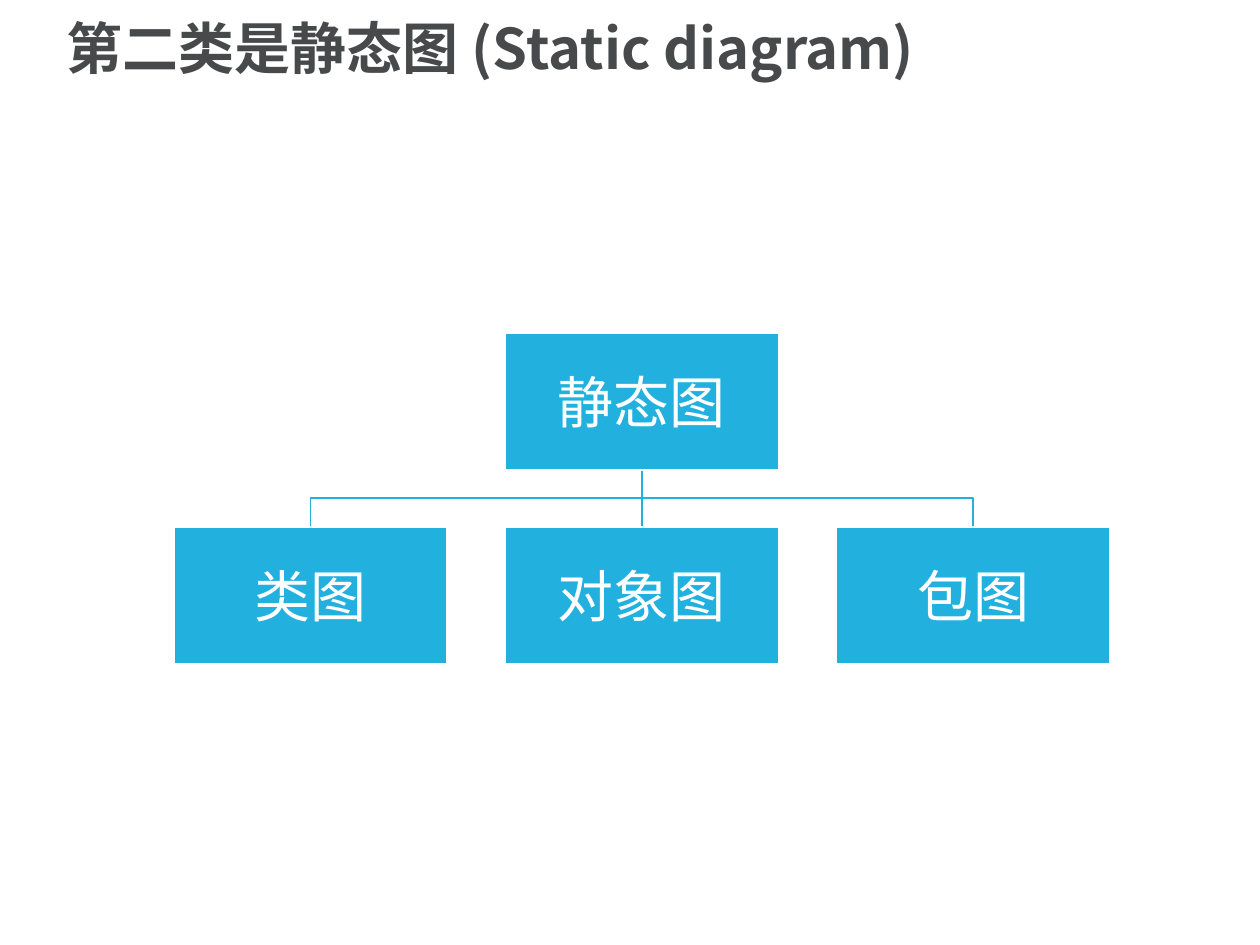
import pptx
import pptx.util
import pptx.dml.color
import pptx.enum.shapes
import pptx.enum.text
import pptx.oxml
import pptx.oxml.ns
from dataclasses import dataclass

Inches = pptx.util.Inches
Pt = pptx.util.Pt


@dataclass(frozen=True)
class Theme:
    font: str = "Noto Sans CJK SC"
    dark: str = "47494B"
    blue: str = "22B1DE"
    white: str = "FFFFFF"
    size: int = 32
    line: int = 1


class Chart:
    """Style, slide and the grid of boxes, in inches."""
    left, top = 1.38, 2.64
    wide, high = 2.17, 1.09
    col_step, row_step = 2.63, 1.54

    def __init__(self, slide, theme):
        self.slide, self.theme = slide, theme
        self.shapes = slide.shapes

    def tint(self, code):
        return pptx.dml.color.RGBColor.from_string(code)

    def spot(self, col, row):
        return (Inches(self.left + col * self.col_step),
                Inches(self.top + row * self.row_step))

    def tag(self, name, extra=""):
        return pptx.oxml.parse_xml(
            f'<a:{name} {pptx.oxml.ns.nsdecls("a")} {extra}/>')

    def label(self, frame, text, color, bold=False):
        frame.word_wrap = True
        frame.vertical_anchor = pptx.enum.text.MSO_ANCHOR.MIDDLE
        para = frame.paragraphs[0]
        run = para.add_run()
        run.text = text
        font = run.font
        font.size, font.bold = Pt(self.theme.size), bold
        font.name = self.theme.font
        font.color.rgb = self.tint(color)
        # East Asian glyphs need their own typeface entry
        run._r.get_or_add_rPr().append(
            self.tag("ea", f'typeface="{self.theme.font}"'))
        return para

    def title(self, text):
        box = self.shapes.add_textbox(
            Inches(0.43), Inches(0.06), Inches(9.05), Inches(0.7))
        para = self.label(box.text_frame, text, self.theme.dark, True)
        para.line_spacing = 0.9

    def box(self, text, col, row):
        rect = self.shapes.add_shape(
            pptx.enum.shapes.MSO_SHAPE.RECTANGLE, *self.spot(col, row),
            Inches(self.wide), Inches(self.high))
        rect.shadow.inherit = False
        rect.fill.solid()
        rect.fill.fore_color.rgb = self.tint(self.theme.blue)
        self.stroke(rect, self.theme.white)
        frame = rect.text_frame
        frame.margin_left = frame.margin_right = Inches(0.02)
        frame.margin_top = frame.margin_bottom = Inches(0.02)
        para = self.label(frame, text, self.theme.white)
        para.alignment = pptx.enum.text.PP_ALIGN.CENTER
        return rect

    def stroke(self, shape, color):
        shape.line.color.rgb = self.tint(color)
        shape.line.width = Pt(self.theme.line)

    def send_back(self, shape):
        self.shapes._spTree.insert(2, shape._element)

    def stem(self, root, leaf):
        """Straight line from a box down to the one below it."""
        link = self.shapes.add_connector(
            pptx.enum.shapes.MSO_CONNECTOR.STRAIGHT, 0, 0, 0, 0)
        link.begin_connect(root, 2)
        link.end_connect(leaf, 0)
        self.stroke(link, self.theme.blue)
        link._element.spPr.append(self.tag("effectLst"))
        self.send_back(link)

    def branch(self, root, leaf):
        """Line that turns halfway between two rows."""
        x, y = root.left + root.width // 2, root.top + root.height
        end = leaf.left + leaf.width // 2
        mid = (y + leaf.top) // 2
        pen = self.shapes.build_freeform(x, y)
        pen.add_line_segments([(x, mid), (end, mid), (end, leaf.top)],
                              close=False)
        bend = pen.convert_to_shape()
        bend.shadow.inherit = False
        bend.fill.background()
        self.stroke(bend, self.theme.blue)
        self.send_back(bend)


def main():
    deck = pptx.Presentation()
    deck.slide_width, deck.slide_height = Inches(10), Inches(7.5)
    chart = Chart(deck.slides.add_slide(deck.slide_layouts[6]), Theme())

    # Heading
    chart.title("第二类是静态图 (Static diagram)")

    # Root box and its three kinds
    root = chart.box("静态图", 1, 0)
    leaves = [chart.box(name, col, 1)
              for col, name in enumerate(("类图", "对象图", "包图"))]

    # Lines behind the boxes
    for leaf in leaves:
        join = chart.stem if leaf.left == root.left else chart.branch
        join(root, leaf)

    deck.save("out.pptx")


if __name__ == "__main__":
    main()
